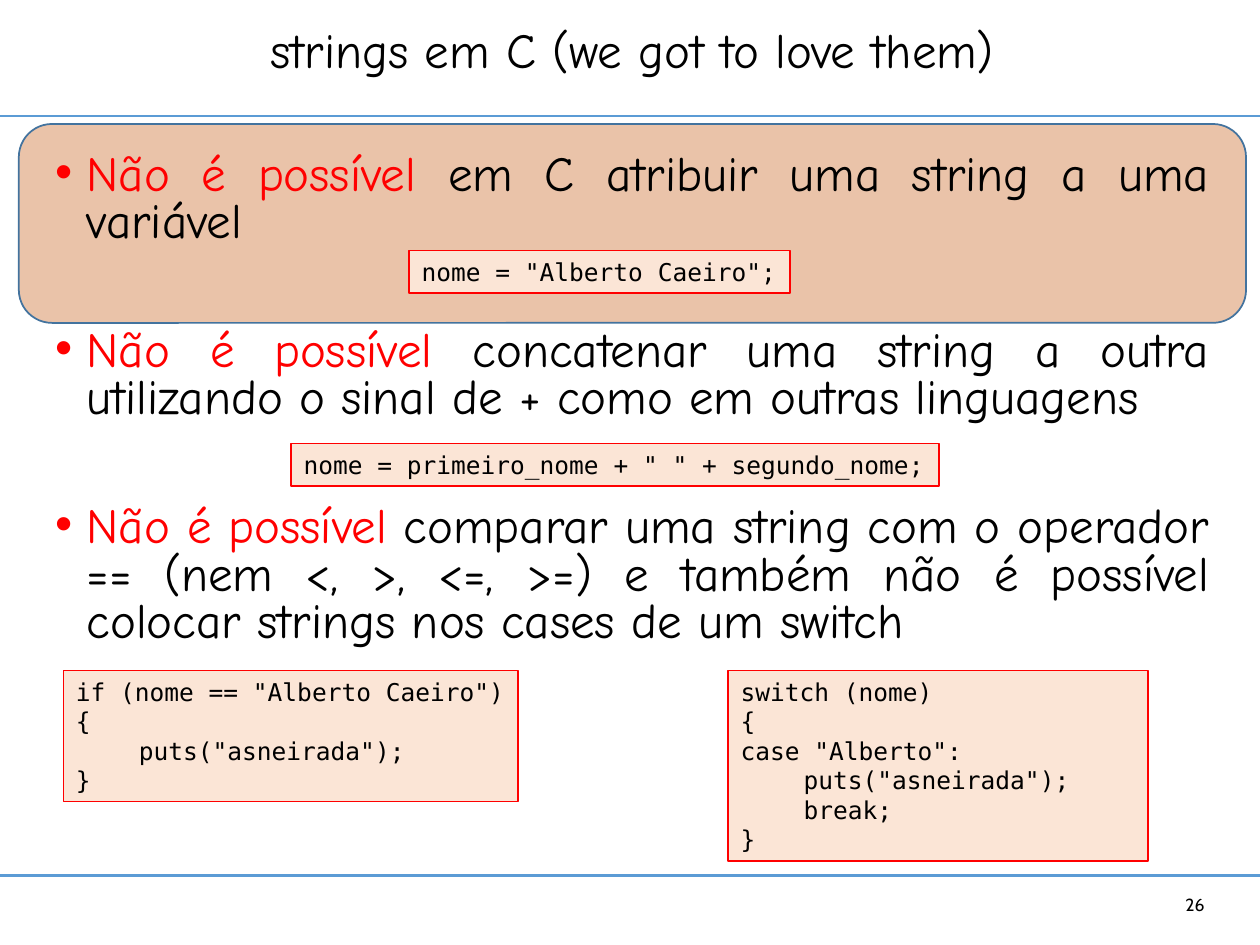
from dataclasses import dataclass

from lxml.etree import SubElement
from pptx import Presentation
from pptx.dml.color import RGBColor
from pptx.enum.shapes import MSO_CONNECTOR, MSO_SHAPE
from pptx.enum.text import MSO_ANCHOR as Anchor, MSO_AUTO_SIZE as AutoSize, PP_ALIGN as Align
from pptx.oxml.ns import qn
from pptx.util import Cm, Pt


@dataclass(frozen=True)
class Theme:
    text_font: str = "Comic Neue"
    code_font: str = "DejaVu Sans Mono"
    number_font: str = "Cabin"
    text_size: int = 28
    code_size: int = 14
    number_size: int = 10
    ink: str = "000000"
    alert: str = "FF0000"
    code_fill: str = "FBE5D6"
    rule: str = "5B9BD5"
    panel_fill: str = "C55A11"
    panel_line: str = "43739E"
    panel_opacity: int = 36


THEME = Theme()
WIDTH, HEIGHT = 25.4, 19.05
RULES = (2.34, 17.65)
PANEL = (0.38, 2.5, 24.74, 4.01)

TITLE = "strings em C (we got to love them)"
TITLE_BOX = (0.86, 0, 23.77, 2.13)
LEAD = "Não é possível "
POINTS = [
    "em C atribuir uma string a uma variável",
    "concatenar uma string a outra utilizando o sinal de + como em outras linguagens",
    "comparar uma string com o operador == (nem <, >, <=, >=) e também não é possível "
    "colocar strings nos cases de um switch",
]
POINTS_BOX = (0.86, 2.97, 23.77, 11.1)
POINT_GAP = 47
INDENT = 0.64
PAGE_NUMBER = "26"
PAGE_NUMBER_BOX = (22.5, 17.93, 2.03, 0.61)

# left, top, width, height, code lines
SNIPPETS = [
    (8.25, 5.05, 7.67, 0.86, ['nome = "Alberto Caeiro";']),
    (5.87, 8.94, 13.06, 0.86, ['nome = primeiro_nome + " " + segundo_nome;']),
    (1.28, 13.52, 9.17, 2.64,
     ['if (nome == "Alberto Caeiro")', "{", '\tputs("asneirada");', "}"]),
    (14.68, 13.52, 8.46, 3.84,
     ["switch (nome)", "{", 'case "Alberto":', '\tputs("asneirada");', "\tbreak;", "}"]),
]


def color(value):
    return RGBColor.from_string(value)


def lengths(box):
    return [Cm(value) for value in box]


def add_run(paragraph, text, font, size, ink=THEME.ink):
    run = paragraph.add_run()
    run.text = text
    run.font.name = font
    run.font.size = Pt(size)
    run.font.color.rgb = color(ink)


def next_paragraph(frame, index):
    return frame.add_paragraph() if index else frame.paragraphs[0]


def add_rule(slide, top):
    line = slide.shapes.add_connector(
        MSO_CONNECTOR.STRAIGHT, *lengths((0, top, WIDTH, top)))
    line.line.color.rgb = color(THEME.rule)
    line.line.width = Pt(1.25)
    SubElement(line.element.spPr, qn("a:effectLst"))


def add_box(slide, kind, box, fill, outline):
    shape = slide.shapes.add_shape(kind, *lengths(box))
    shape.shadow.inherit = False
    shape.fill.solid()
    shape.fill.fore_color.rgb = color(fill)
    shape.line.color.rgb = color(outline)
    shape.line.width = Pt(1)
    return shape


def add_panel(slide):
    panel = add_box(slide, MSO_SHAPE.ROUNDED_RECTANGLE, PANEL,
                    THEME.panel_fill, THEME.panel_line)
    fill_color = panel.element.spPr.find(qn("a:solidFill")).find(qn("a:srgbClr"))
    SubElement(fill_color, qn("a:alpha"), val=str(THEME.panel_opacity * 1000))


def set_title(slide):
    title = slide.shapes.title
    title.left, title.top, title.width, title.height = lengths(TITLE_BOX)
    title.text_frame.vertical_anchor = Anchor.MIDDLE
    paragraph = title.text_frame.paragraphs[0]
    paragraph.alignment = Align.CENTER
    paragraph.line_spacing = 0.9
    add_run(paragraph, TITLE, THEME.text_font, THEME.text_size)


def add_bullet(paragraph):
    properties = paragraph._p.get_or_add_pPr()
    properties.set("marL", str(Cm(INDENT)))
    properties.set("indent", str(-Cm(INDENT)))
    SubElement(properties, qn("a:buFont"), typeface="Arial")
    SubElement(properties, qn("a:buChar"), char="•")


def add_points(slide):
    frame = slide.shapes.add_textbox(*lengths(POINTS_BOX)).text_frame
    frame.word_wrap = True
    for index, point in enumerate(POINTS):
        paragraph = next_paragraph(frame, index)
        add_bullet(paragraph)
        paragraph.alignment = Align.JUSTIFY
        paragraph.line_spacing = 0.8
        paragraph.space_before = Pt(POINT_GAP if index else 0)
        add_run(paragraph, LEAD, THEME.text_font, THEME.text_size, THEME.alert)
        add_run(paragraph, point, THEME.text_font, THEME.text_size)


def add_page_number(slide):
    frame = slide.shapes.add_textbox(*lengths(PAGE_NUMBER_BOX)).text_frame
    frame.word_wrap = True
    frame.vertical_anchor = Anchor.MIDDLE
    paragraph = frame.paragraphs[0]
    paragraph.alignment = Align.RIGHT
    add_run(paragraph, PAGE_NUMBER, THEME.number_font, THEME.number_size)


def add_snippet(slide, box, lines):
    shape = add_box(slide, MSO_SHAPE.RECTANGLE, box, THEME.code_fill, THEME.alert)
    frame = shape.text_frame
    frame.word_wrap = False
    frame.auto_size = AutoSize.SHAPE_TO_FIT_TEXT
    frame.vertical_anchor = Anchor.TOP
    for index, line in enumerate(lines):
        paragraph = next_paragraph(frame, index)
        paragraph.alignment = Align.LEFT
        add_run(paragraph, line, THEME.code_font, THEME.code_size)


def main():
    presentation = Presentation()
    presentation.slide_width, presentation.slide_height = Cm(WIDTH), Cm(HEIGHT)
    slide = presentation.slides.add_slide(presentation.slide_layouts[5])
    for top in RULES:
        add_rule(slide, top)
    add_panel(slide)
    set_title(slide)
    add_points(slide)
    add_page_number(slide)
    for *box, lines in SNIPPETS:
        add_snippet(slide, box, lines)
    presentation.save("out.pptx")


if __name__ == "__main__":
    main()
